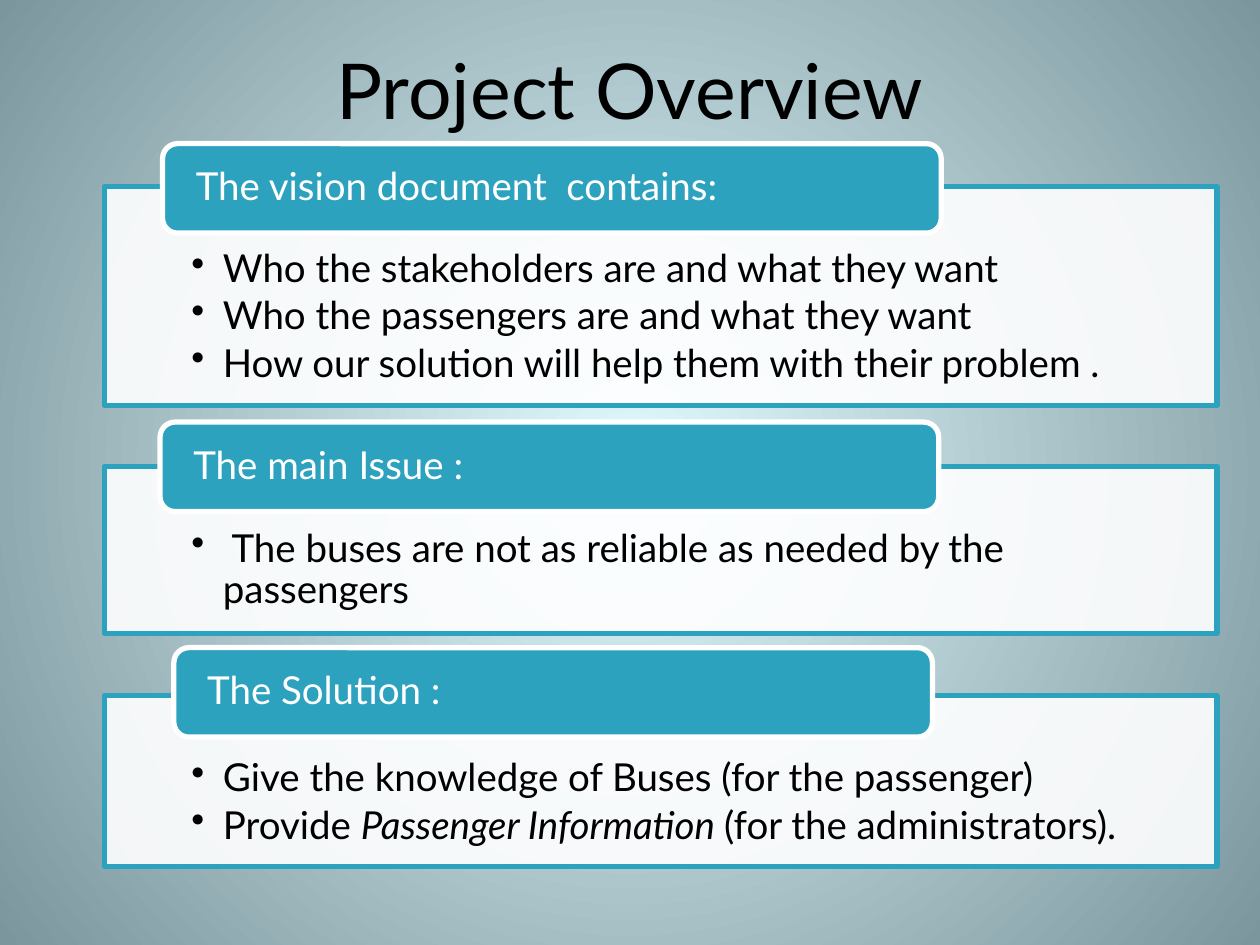
from dataclasses import dataclass

from lxml.etree import SubElement
from pptx import Presentation
from pptx.dml.color import RGBColor
from pptx.enum.shapes import MSO_SHAPE as Shape
from pptx.enum.text import MSO_ANCHOR as Anchor, PP_ALIGN as Align
from pptx.oxml.ns import qn
from pptx.util import Inches, Pt

TEAL = RGBColor(0x2D, 0xA2, 0xBF)
WHITE = RGBColor(0xFF, 0xFF, 0xFF)
BLACK = RGBColor(0x00, 0x00, 0x00)
GLOW = RGBColor(0xE1, 0xFA, 0xFF)
EDGE = RGBColor(0x7B, 0x96, 0x9C)
FONT = "Lato"
PANEL_LEFT, PANEL_WIDTH, TAB_HEIGHT = 0.83, 8.83, 0.71


@dataclass
class Section:
    heading: str
    tab_left: float
    tab_top: float
    tab_width: float
    top: float
    height: float
    items: list  # each item is a list of (text, italic) runs


SECTIONS = [
    Section("The vision document  contains:", 1.29, 1.14, 6.18, 1.48, 1.74, [
        [("Who the stakeholders are and what they want", False)],
        [("Who the passengers are and what they want", False)],
        [("How our solution will help them with their problem .", False)],
    ]),
    Section("The main Issue :", 1.27, 3.35, 6.18, 3.7, 1.33, [
        [(" The buses are not as reliable as needed by the passengers", False)],
    ]),
    Section("The Solution :", 1.38, 5.14, 6.02, 5.52, 1.36, [
        [("Give the knowledge of Buses (for the passenger)", False)],
        [("Provide ", False), ("Passenger Information ", True),
         ("(for the administrators).", False)],
    ]),
]


def write(tf, paragraphs: list, *, size=22, color=BLACK, align=Align.LEFT,
          anchor=Anchor.TOP, insets=(0.1, 0.05, 0.1, 0.05),
          spacing=0.9, after=0.0, bullets=False) -> None:
    tf.word_wrap = True
    tf.vertical_anchor = anchor
    tf.margin_left, tf.margin_top, tf.margin_right, tf.margin_bottom = map(Inches, insets)
    for i, runs in enumerate(paragraphs):
        p = tf.add_paragraph() if i else tf.paragraphs[0]
        p.alignment, p.line_spacing, p.space_after = align, spacing, Pt(after)
        if bullets:
            p.level = 1
            pPr = p._p.get_or_add_pPr()
            pPr.set("marL", str(Inches(0.25)))
            pPr.set("indent", str(Inches(-0.25)))
            SubElement(pPr, qn("a:buChar"), char="•")
        for text, italic in runs:
            r = p.add_run()
            r.text = text
            r.font.name, r.font.size, r.font.italic = FONT, Pt(size), italic
            r.font.color.rgb = color


def add_box(slide, kind: Shape, box: tuple, fill: RGBColor, line: RGBColor):
    sp = slide.shapes.add_shape(kind, *map(Inches, box))
    sp.shadow.inherit = False
    sp.fill.solid()
    sp.fill.fore_color.rgb = fill
    sp.line.color.rgb = line
    sp.line.width = Pt(3)
    return sp


def add_section(slide, s: Section) -> None:
    panel = add_box(slide, Shape.RECTANGLE,
                    (PANEL_LEFT, s.top, PANEL_WIDTH, s.height), WHITE, TEAL)
    color = panel._element.spPr.find(qn("a:solidFill"))[0]
    SubElement(color, qn("a:alpha"), val="90000")
    write(panel.text_frame, s.items, insets=(0.69, 0.5, 0.69, 0.17),
          after=3.3, bullets=True)
    tab = add_box(slide, Shape.ROUNDED_RECTANGLE,
                  (s.tab_left, s.tab_top, s.tab_width, TAB_HEIGHT), TEAL, WHITE)
    write(tab.text_frame, [[(s.heading, False)]], color=WHITE,
          anchor=Anchor.MIDDLE, insets=(0.23, 0, 0.23, 0))


def set_radial_background(slide, center: RGBColor, edge: RGBColor) -> None:
    fill = slide.background.fill
    fill.gradient()
    for stop, color, position in zip(fill.gradient_stops, (center, edge), (0, 1)):
        stop.color.rgb = color
        stop.position = position
    grad = slide._element.find(".//" + qn("a:gradFill"))
    grad.remove(grad.find(qn("a:lin")))
    circle = SubElement(grad, qn("a:path"), path="circle")
    SubElement(circle, qn("a:fillToRect"), {side: "50000" for side in "ltrb"})


def main() -> None:
    prs = Presentation()
    prs.slide_width, prs.slide_height = Inches(10), Inches(7.5)
    slide = prs.slides.add_slide(prs.slide_layouts[5])
    set_radial_background(slide, GLOW, EDGE)
    title = slide.shapes.title
    title.left, title.top, title.width, title.height = map(Inches, (0.5, 0.3, 9, 1.25))
    write(title.text_frame, [[("Project Overview", False)]], size=44,
          align=Align.CENTER, insets=(0.1, 0.04, 0.1, 0.05), spacing=1.0)
    for section in SECTIONS:
        add_section(slide, section)
    prs.save("out.pptx")


if __name__ == "__main__":
    main()
